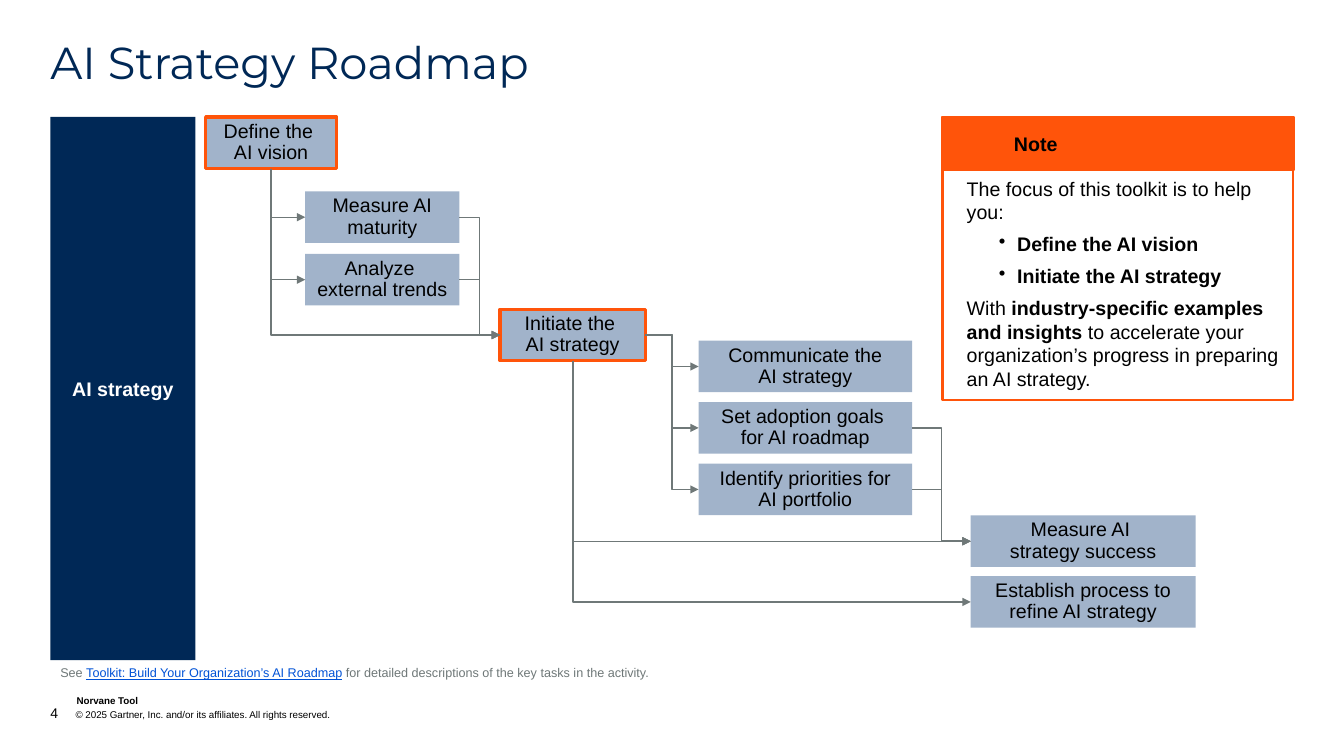
import pptx
import pptx.util
import pptx.dml.color
import pptx.enum.shapes
import pptx.enum.text
import pptx.oxml
import pptx.oxml.ns

Pt = pptx.util.Pt
ALIGN = pptx.enum.text.PP_ALIGN
ANCHOR = pptx.enum.text.MSO_ANCHOR
BOTTOM, LEFT, RIGHT = 2, 1, 3  # connection sites of a rectangle

COLORS = {
    "navy": "002856", "task": "A1B3CA", "orange": "FF540A", "gray": "6F7878",
    "link": "0052D6", "black": "000000", "white": "FFFFFF",
}
BOX_H = 36.8

# name: (left, top, width, text, highlighted)
TASKS = {
    "maturity": (218, 136.8, 110.2, "Measure AI\vmaturity", False),
    "trends": (218, 181.4, 110.2, "Analyze \vexternal trends", False),
    "initiate": (357.2, 220.9, 103.8, "Initiate the \vAI strategy", True),
    "vision": (146.9, 83.6, 93.6, "Define the \vAI vision", True),
    "communicate": (499, 243.4, 152.5, "Communicate the\vAI strategy", False),
    "goals": (499, 287.3, 152.5, "Set adoption goals \vfor AI roadmap", False),
    "priorities": (499, 331.2, 152.5, "Identify priorities for AI portfolio", False),
    "success": (693.4, 368.2, 160.6, "Measure AI \vstrategy success", False),
    "refine": (693.4, 411.6, 160.6, "Establish process to refine AI strategy", False),
}
# (source, side it leaves from, targets)
LINKS = [
    ("vision", BOTTOM, ["maturity", "trends", "initiate"]),
    ("maturity", RIGHT, ["initiate"]),
    ("trends", RIGHT, ["initiate"]),
    ("initiate", RIGHT, ["communicate", "goals", "priorities"]),
    ("initiate", BOTTOM, ["success", "refine"]),
    ("goals", RIGHT, ["success"]),
    ("priorities", RIGHT, ["success"]),
]


def rgb(name):
    return pptx.dml.color.RGBColor.from_string(COLORS[name])


def set_frame(sp, anchor, insets):
    tf = sp.text_frame
    tf.word_wrap = True
    tf.vertical_anchor = anchor
    tf.margin_left, tf.margin_top, tf.margin_right, tf.margin_bottom = map(Pt, insets)
    return tf


def format_run(r, size, color, bold=False, font="Arial"):
    r.font.size = Pt(size)
    r.font.name = font
    r.font.bold = bold
    r.font.color.rgb = rgb(color)


def add_runs(p, parts, size):
    """Add (text, color, bold) runs to a paragraph."""
    for text, color, bold in parts:
        r = p.add_run()
        r.text = text
        format_run(r, size, color, bold)


def indent(p, left, first):
    pPr = p._p.get_or_add_pPr()
    pPr.set("marL", str(Pt(left)))
    pPr.set("indent", str(Pt(first)))
    return pPr


def add_box(s, box, fill=None, line=None, line_w=1.5):
    sp = s.shapes.add_shape(pptx.enum.shapes.MSO_SHAPE.RECTANGLE, *map(Pt, box))
    sp.shadow.inherit = False
    if fill:
        sp.fill.solid()
        sp.fill.fore_color.rgb = rgb(fill)
    else:
        sp.fill.background()
    if line:
        sp.line.color.rgb = rgb(line)
        sp.line.width = Pt(line_w)
    else:
        sp.line.fill.background()
    return sp


def add_label(sp, text, color="black", bold=False, align=ALIGN.CENTER,
              spacing=1.0, insets=(7.2, 3.6, 7.2, 3.6)):
    tf = set_frame(sp, ANCHOR.MIDDLE, insets)
    tf.text = text
    p = tf.paragraphs[0]
    p.alignment = align
    p.line_spacing = spacing
    for r in p.runs:
        format_run(r, 14, color, bold)


def add_text(s, box, anchor, insets=(0, 0, 0, 0)):
    sp = s.shapes.add_textbox(*map(Pt, box))
    return set_frame(sp, anchor, insets).paragraphs[0]


def add_link(s, source, side, target):
    """Elbow arrow from one side of the source to the left of the target."""
    cxn = s.shapes.add_connector(pptx.enum.shapes.MSO_CONNECTOR.ELBOW, 0, 0, 0, 0)
    cxn.begin_connect(source, side)
    cxn.end_connect(target, LEFT)
    spPr = cxn._element.spPr
    if side == BOTTOM:  # one corner: down, then right
        x, y, w, h = cxn.left, cxn.top, cxn.width, cxn.height
        cxn.left, cxn.top = x + (w - h) // 2, y + (h - w) // 2
        cxn.width, cxn.height = h, w
        spPr.find(pptx.oxml.ns.qn("a:prstGeom")).set("prst", "bentConnector2")
        xfrm = spPr.find(pptx.oxml.ns.qn("a:xfrm"))
        xfrm.set("rot", "16200000")
        xfrm.set("flipH", "1")
    cxn.line.color.rgb = rgb("gray")
    cxn.line.width = Pt(1)
    ln = spPr.find(pptx.oxml.ns.qn("a:ln"))
    tail = pptx.oxml.ns.qn("a:tailEnd")
    ln.append(ln.makeelement(tail, {"type": "triangle"}))
    spPr.append(spPr.makeelement(pptx.oxml.ns.qn("a:effectLst"), {}))


def add_roadmap(s):
    boxes = {}
    for name, (x, y, w, text, highlighted) in TASKS.items():
        line = "orange" if highlighted else None
        sp = add_box(s, (x, y, w, BOX_H), "task", line, 2.25)
        add_label(sp, text, spacing=0.9)
        boxes[name] = sp
    for source, side, targets in LINKS:
        for target in targets:
            add_link(s, boxes[source], side, boxes[target])


def add_note(s):
    sp = add_box(s, (673.2, 120.3, 250.6, 165.6), line="orange")
    tf = set_frame(sp, ANCHOR.TOP, (5.8, 5.8, 5.8, 5.8))
    paragraphs = [
        (False, [("The focus of this toolkit is to help you:", "black", False)]),
        (True, [("Define the AI vision", "black", True)]),
        (True, [("Initiate the AI strategy", "black", True)]),
        (False, [
            ("With ", "black", False),
            ("industry-specific examples and insights ", "black", True),
            ("to accelerate your organization’s progress in preparing an AI strategy.",
             "black", False),
        ]),
    ]
    for i, (bullet, parts) in enumerate(paragraphs):
        p = tf.add_paragraph() if i else tf.paragraphs[0]
        if bullet:
            pPr = indent(p, 47.5, -13)
            pPr.append(pPr.makeelement(pptx.oxml.ns.qn("a:buChar"), {"char": "•"}))
            p.level = 1
        else:
            indent(p, 11.5, 0)
        p.alignment = ALIGN.LEFT
        p.space_after = Pt(6)
        add_runs(p, parts, 14)
    header = add_box(s, (673.2, 83.6, 251.2, 38), "orange", "orange")
    add_label(header, "Note", bold=True, align=ALIGN.LEFT, insets=(51.1, 7.2, 7.2, 7.2))


def main():
    prs = pptx.Presentation()
    prs.slide_width, prs.slide_height = Pt(960), Pt(540)
    s = prs.slides.add_slide(prs.slide_layouts[6])

    # Footer
    p = add_text(s, (54.7, 496.1, 182.2, 8.6), ANCHOR.BOTTOM)
    add_runs(p, [("Norvane Tool", "black", True)], 7)
    p = add_text(s, (36, 503.3, 575.3, 12.2), ANCHOR.BOTTOM)
    indent(p, 18, -18)
    add_runs(p, [("4", "black", False)], 10)
    copyright_line = "\t© 2025 Gartner, Inc. and/or its affiliates. All rights reserved."
    add_runs(p, [(copyright_line, "black", False)], 7)

    # Task boxes and arrows
    add_roadmap(s)

    # Side bar
    bar = add_box(s, (36, 83.6, 103.7, 388), "navy")
    add_label(bar, "AI strategy", "white", True)

    # Title
    p = add_text(s, (36, 28.8, 887.8, 35.3), ANCHOR.TOP)
    p.text = "AI Strategy Roadmap"
    p.line_spacing = 0.9
    format_run(p.runs[0], 32, "navy", font="Montserrat")

    # Note panel
    add_note(s)

    # Source line
    p = add_text(s, (36, 473.8, 887, 13.7), ANCHOR.MIDDLE, (7.2, 3.6, 7.2, 3.6))
    add_runs(p, [
        ("See ", "gray", False),
        ("Toolkit: Build Your Organization’s AI Roadmap", "link", False),
        (" for detailed descriptions of the key tasks in the activity.", "gray", False),
    ], 9)
    p.runs[1].font.underline = True

    prs.save("out.pptx")


if __name__ == "__main__":
    main()
